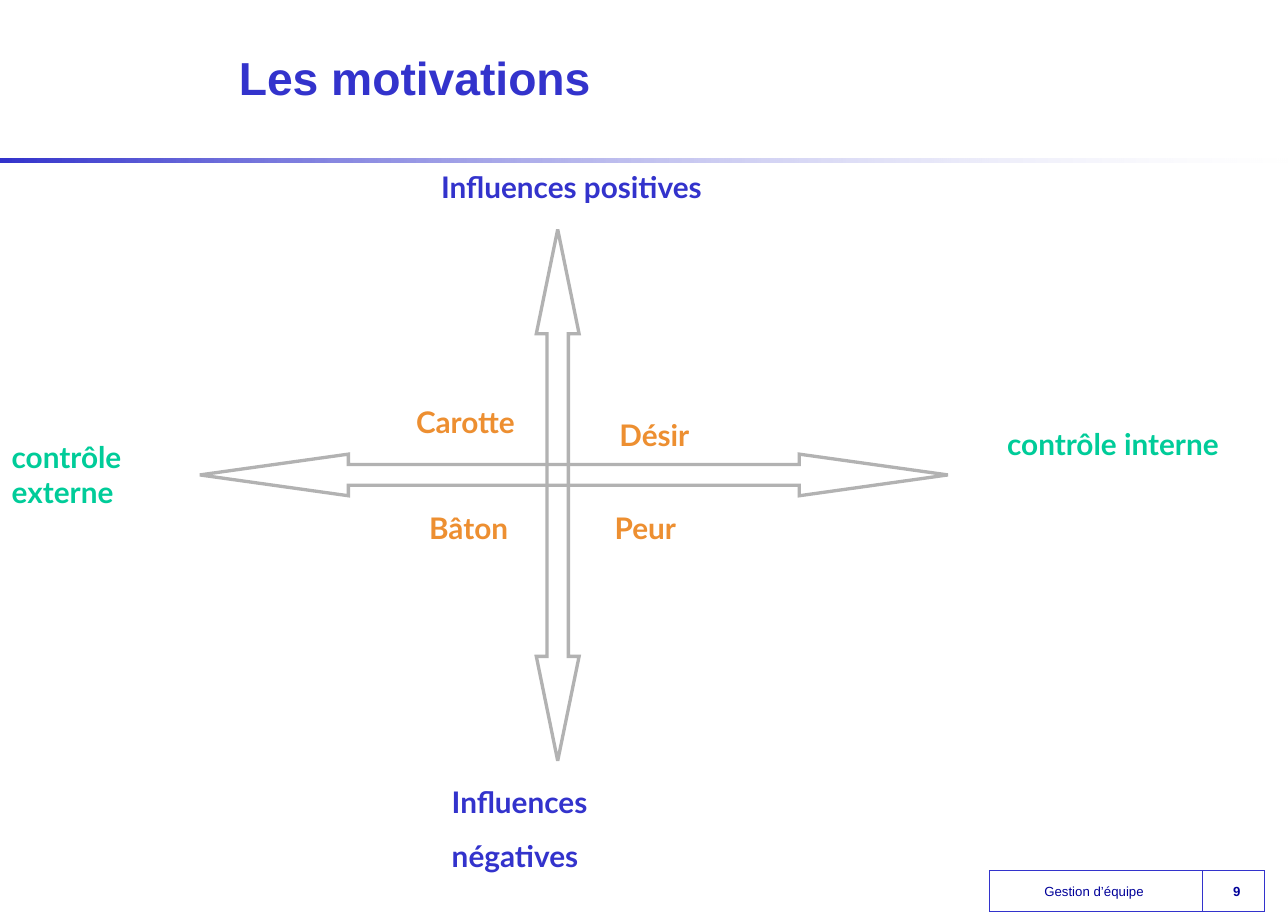
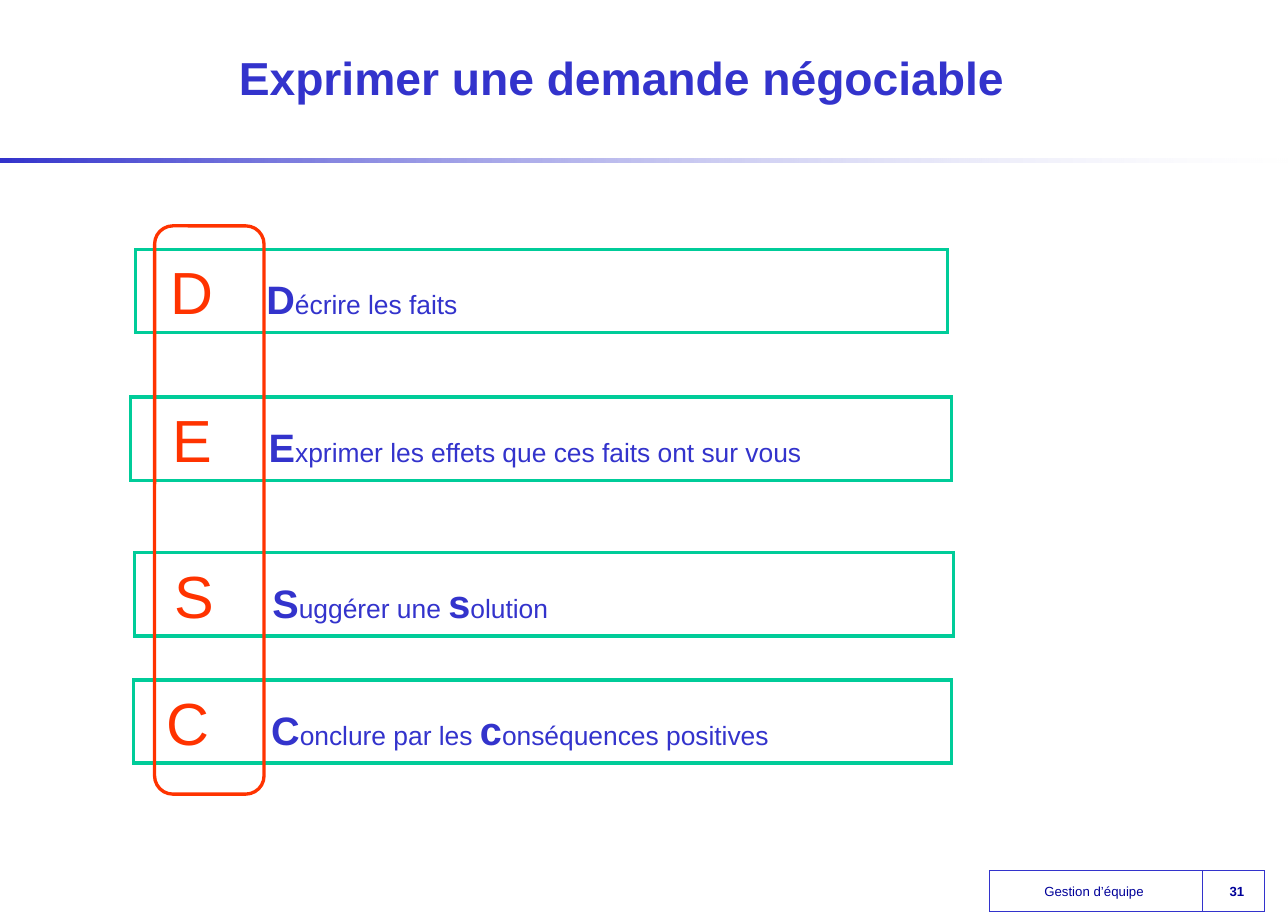
from pptx import Presentation as Deck
from pptx.dml.color import RGBColor as Rgb
from pptx.enum.shapes import MSO_SHAPE as Kind
from pptx.enum.text import MSO_ANCHOR as Anchor, MSO_AUTO_SIZE as Fit, PP_ALIGN as Align
from pptx.oxml.ns import qn
from pptx.util import Pt
from lxml.etree import SubElement as Sub

PX = 9144  # EMU in one px, 100 px to the inch
SIZE = (1083, 768)
HUE = dict(blue="3333CC", navy="000099", green="00CC99", orange="ED8F31",
           red="FF3300", grey="B2B2B2", white="FFFFFF")

# Text styles
TITLE = dict(name="Arial", size=28, bold=True, color="blue")
FOOT = dict(name="Arial", size=8, bold=False, color="navy")
PAGE = dict(FOOT, bold=True)
LABEL = dict(name="Lato", size=18, bold=True)
CAP = dict(name="Arial", size=36, bold=False, color="red")
KEY = dict(name="Arial", size=24, bold=True, color="blue")
BODY = dict(KEY, size=16, bold=False)

# Content: slide 1
ARROWS = [  # kind, place, shaft and head in thousandths of a percent
    (Kind.LEFT_RIGHT_ARROW, (168, 382, 629, 35), (50000, 357000)),
    (Kind.UP_DOWN_ARROW, (451, 193, 36, 447), (50000, 244000)),
]
LABELS = [  # lines, colour, place, space before, wrap
    (["Influences positives"], "blue", (361, 137, 269, 40), 0, False),
    (["Influences", "négatives"], "blue", (370, 654, 172, 86), 11.2, True),
    (["Carotte"], "orange", (340, 335, 116, 40), 11.2, True),
    (["Désir"], "orange", (511, 346, 100, 40), 0, True),
    (["Bâton"], "orange", (351, 424, 119, 40), 0, True),
    (["Peur"], "orange", (507, 424, 106, 40), 0, True),
    (["contrôle externe"], "green", (0, 364, 159, 70), 11.2, True),
    (["contrôle interne"], "green", (837, 353, 201, 70), 11.2, True),
]

# Content: slide 2
STEPS = [  # left, top, width, cap inset, text start, (key letter, rest) pairs
    (114, 210, 683, 29, 110, [("D", "écrire les faits")]),
    (110, 334, 690, 35, 116, [("E", "xprimer les effets que ces faits ont sur vous")]),
    (113, 465, 689, 34, 116, [("S", "uggérer une "), ("s", "olution")]),
    (112, 572, 688, 28, 116, [("C", "onclure par les "), ("c", "onséquences positives")]),
]
STEP_H = 70
FRAME = (130, 190, 92, 478)


def rgb(hue):
    return Rgb.from_string(HUE[hue])


def put(obj, **vals):
    for key, val in vals.items():
        setattr(obj, key, val)


def shape(slide, kind, at, line=None, width=0.75):
    item = slide.shapes.add_shape(kind, *(n * PX for n in at))
    item.shadow.inherit = False
    item.fill.background()
    if line:
        item.line.color.rgb = rgb(line)
        item.line.width = Pt(width)
        # Square corners
        Sub(item._element.spPr.find(qn("a:ln")), qn("a:miter"), lim="800000")
    else:
        item.line.fill.background()
    return item


def write(item, lines, pad=(10, 5), anchor=Anchor.TOP, align=Align.LEFT,
          before=0, wrap=True, fit=Fit.NONE):
    """Fill a shape with lines, each a list of (text, style) runs."""
    frame = item.text_frame
    side, edge = (n * PX for n in pad)
    put(frame, margin_left=side, margin_right=side, margin_top=edge, margin_bottom=edge,
        vertical_anchor=anchor, word_wrap=wrap, auto_size=fit)
    for i, runs in enumerate(lines):
        para = frame.add_paragraph() if i else frame.paragraphs[0]
        put(para, alignment=align, space_before=Pt(before))
        for text, style in runs:
            run = para.add_run()
            run.text = text
            put(run.font, name=style["name"], size=Pt(style["size"]), bold=style["bold"])
            run.font.color.rgb = rgb(style["color"])
    return frame


def box(slide, at, lines, **opts):
    return write(slide.shapes.add_textbox(*(n * PX for n in at)), lines, **opts)


def base(deck, title, page):
    """Add a slide with the shared footer, band and title."""
    slide = deck.slides.add_slide(deck.slide_layouts[6])
    mid = dict(pad=(4, 5), anchor=Anchor.MIDDLE, align=Align.CENTER)
    foot = shape(slide, Kind.RECTANGLE, (832, 732, 179, 35), "blue")
    write(foot, [[("Gestion d’équipe ", FOOT)]], **mid)
    band = shape(slide, Kind.RECTANGLE, (0, 133, SIZE[0], 4))
    band.fill.gradient()
    band.fill.gradient_angle = 0
    for stop, hue in zip(band.fill.gradient_stops, ("blue", "white")):
        stop.color.rgb = rgb(hue)
    # The white end is mostly see-through
    end = list(band._element.spPr.iter(qn("a:srgbClr")))[-1]
    Sub(end, qn("a:alpha"), val="20000")
    shape(slide, Kind.RECTANGLE, (1011, 732, 52, 35), "blue")
    box(slide, (1014, 731, 52, 37), [[(page, PAGE)]], **mid)
    box(slide, (191, 6, 862, 118), [[(title, TITLE)]], anchor=Anchor.MIDDLE)
    return slide


def drives(deck):
    slide = base(deck, "Les motivations", "9")
    for kind, at, sizes in ARROWS:
        arrow = shape(slide, kind, at, "grey", 2)
        guides = arrow._element.spPr.find(qn("a:prstGeom")).find(qn("a:avLst"))
        for old in list(guides):
            guides.remove(old)
        for i, val in enumerate(sizes, 1):
            Sub(guides, qn("a:gd"), name=f"adj{i}", fmla=f"val {val}")
    for lines, hue, at, before, wrap in LABELS:
        style = dict(LABEL, color=hue)
        box(slide, at, [[(line, style)] for line in lines], before=before, wrap=wrap)


def steps(deck):
    slide = base(deck, "Exprimer une demande négociable", "31")
    for left, top, width, inset, start, pairs in STEPS:
        runs = [(pairs[0][0], CAP), ("\t", BODY)]
        for key, rest in pairs:
            runs += [(key, KEY), (rest, BODY)]
        item = shape(slide, Kind.RECTANGLE, (left, top, width, STEP_H), "green", 2)
        frame = write(item, [runs], before=10, fit=Fit.SHAPE_TO_FIT_TEXT)
        frame.margin_left = inset * PX
        # Tab stop lines the text up after the capital
        props = frame.paragraphs[0]._p.get_or_add_pPr()
        Sub(Sub(props, qn("a:tabLst")), qn("a:tab"), pos=str((start - inset) * PX), algn="l")
    shape(slide, Kind.ROUNDED_RECTANGLE, FRAME, "red", 2)


def main():
    deck = Deck()
    put(deck, slide_width=SIZE[0] * PX, slide_height=SIZE[1] * PX)
    drives(deck)
    steps(deck)
    deck.save("out.pptx")


if __name__ == "__main__":
    main()
